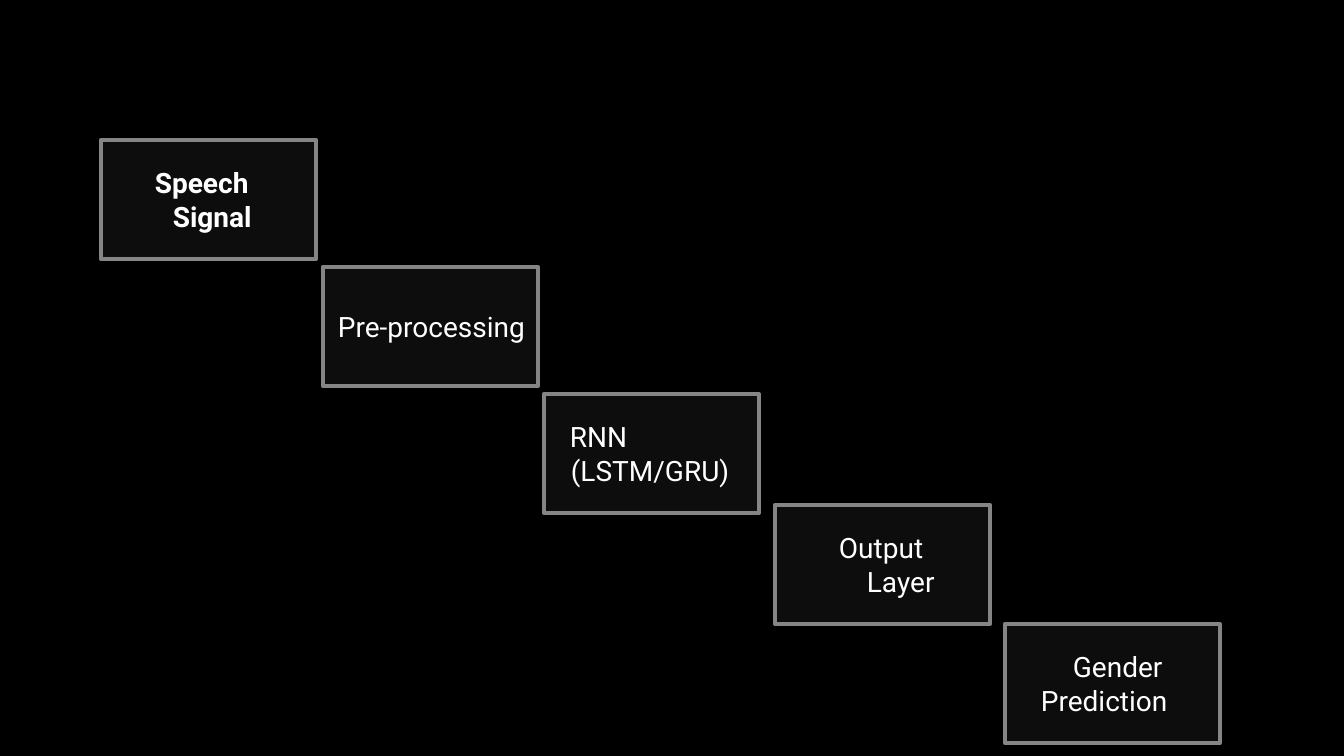
from pptx import Presentation
from pptx.dml.color import RGBColor
from pptx.enum.shapes import MSO_SHAPE
from pptx.enum.text import MSO_ANCHOR, PP_ALIGN
from pptx.util import Emu, Pt

RECTANGLE = MSO_SHAPE.RECTANGLE
MIDDLE = MSO_ANCHOR.MIDDLE
LEFT = PP_ALIGN.LEFT

PX_PER_INCH = 100.8
BLANK_LAYOUT = 6
STEP_WIDTH, STEP_HEIGHT = 215, 119

# Left, top, bold, then each line with its indent in px
STEPS = [
    (101, 140, True, [("Speech", 44), ("Signal", 62)]),
    (323, 267, False, [("Pre-processing", 5)]),
    (544, 394, False, [("RNN", 16), ("(LSTM/GRU)", 17)]),
    (775, 505, False, [("Output", 54), ("Layer", 82)]),
    (1005, 624, False, [("Gender", 58), ("Prediction", 26)]),
]


def px(length):
    return Emu(round(length * 914400 / PX_PER_INCH))


def color(hex_string):
    return RGBColor.from_string(hex_string)


class StepSlide:
    font_name = "Roboto"
    font_size = Pt(20)
    text_color = "FFFFFF"
    fill_color = "0D0D0D"
    line_color = "858585"
    line_width = Pt(3)

    def __init__(self, deck, background):
        self.page = deck.slides.add_slide(deck.slide_layouts[BLANK_LAYOUT])
        fill = self.page.background.fill
        fill.solid()
        fill.fore_color.rgb = color(background)

    def step(self, left, top, bold, lines):
        box = self.page.shapes.add_shape(
            RECTANGLE, px(left), px(top), px(STEP_WIDTH), px(STEP_HEIGHT))
        box.shadow.inherit = False
        box.fill.solid()
        box.fill.fore_color.rgb = color(self.fill_color)
        box.line.color.rgb = color(self.line_color)
        box.line.width = self.line_width
        frame = box.text_frame
        frame.word_wrap = True
        frame.vertical_anchor = MIDDLE
        for number, (text, indent) in enumerate(lines):
            para = frame.add_paragraph() if number else frame.paragraphs[0]
            self.line(para, text, indent, bold)

    def line(self, para, text, indent, bold):
        """Write one text line, indented from the left."""
        para.alignment = LEFT
        para._p.get_or_add_pPr().set("marL", str(px(indent)))
        span = para.add_run()
        span.text = text
        span.font.name = self.font_name
        span.font.size = self.font_size
        span.font.bold = bold
        span.font.color.rgb = color(self.text_color)


def main():
    deck = Presentation()
    deck.slide_width, deck.slide_height = px(1344), px(756)
    slide = StepSlide(deck, "000000")
    for left, top, bold, lines in STEPS:
        slide.step(left, top, bold, lines)
    deck.save("out.pptx")


if __name__ == "__main__":
    main()
